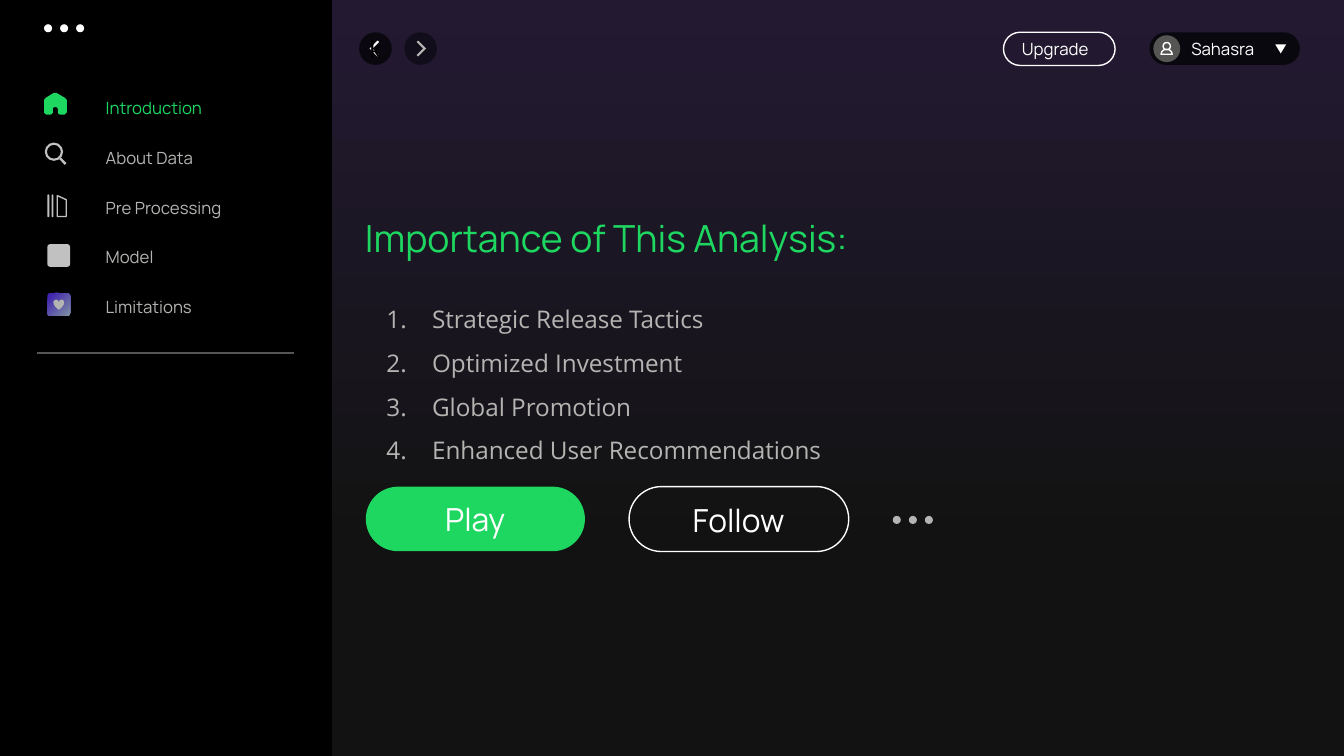
"""Build a music-player styled slide on the importance of the analysis."""
from lxml.etree import SubElement
from pptx import Presentation
from pptx.dml.color import RGBColor
from pptx.enum.shapes import MSO_CONNECTOR, MSO_SHAPE
from pptx.enum.text import MSO_ANCHOR, PP_ALIGN
from pptx.oxml.ns import qn
from pptx.util import Pt

COLORS = {
    "night": "231A32", "charcoal": "121212", "black": "000000",
    "white": "FFFFFF", "green": "1ED760", "gray": "B4B5B2",
    "silver": "C1C1C1", "dim": "555554", "back": "0A070E",
    "forward": "120D1A", "account": "0A080F",
    "violet": "4224B0", "steel": "7F93A0",
}


def rgb(name):
    return RGBColor.from_string(COLORS[name])


def write_text(frame, text, *, size=9, color="white", font="Manrope",
               align=PP_ALIGN.LEFT, anchor=MSO_ANCHOR.TOP, spacing=None,
               numbered=False):
    frame.word_wrap = True
    frame.vertical_anchor = anchor
    frame.margin_left = frame.margin_right = Pt(5.4)
    frame.margin_top = frame.margin_bottom = Pt(2.7)
    frame.text = text
    for paragraph in frame.paragraphs:
        paragraph.alignment = align
        if spacing:
            paragraph.line_spacing = spacing
        if numbered:
            properties = paragraph._p.get_or_add_pPr()
            properties.set("marL", str(Pt(36)))
            properties.set("indent", str(-Pt(24.5)))
            tint = SubElement(properties, qn("a:buClr"))
            SubElement(tint, qn("a:srgbClr"), val=COLORS[color])
            SubElement(properties, qn("a:buFont"), typeface=font)
            SubElement(properties, qn("a:buAutoNum"), type="arabicPeriod")
        for run in paragraph.runs:
            run.font.size = Pt(size)
            run.font.name = font
            run.font.color.rgb = rgb(color)


class PlayerSlide:
    """Hold the style and the slide being drawn."""

    def __init__(self, deck):
        self.slide = deck.slides.add_slide(deck.slide_layouts[5])
        self.shapes = self.slide.shapes

    def gradient(self, fill, angle, *stops):
        fill.gradient()
        fill.gradient_angle = angle
        for stop, (position, color) in zip(fill.gradient_stops, stops):
            stop.position = position
            stop.color.rgb = rgb(color)

    def paint(self, shape, fill=None, line=None, weight=0.75):
        shape.shadow.inherit = False
        if fill:
            shape.fill.solid()
            shape.fill.fore_color.rgb = rgb(fill)
        else:
            shape.fill.background()
        if line:
            shape.line.color.rgb = rgb(line)
            shape.line.width = Pt(weight)
        else:
            shape.line.fill.background()
        return shape

    def preset(self, kind, left, top, width, height, fill=None, line=None,
               adjust=None):
        shape = self.shapes.add_shape(kind, Pt(left), Pt(top), Pt(width), Pt(height))
        if adjust is not None:
            shape.adjustments[0] = adjust
        return self.paint(shape, fill, line)

    def pill(self, left, top, width, height, fill=None, line=None):
        return self.preset(MSO_SHAPE.ROUNDED_RECTANGLE, left, top, width, height,
                           fill, line, 0.5)

    def circle(self, left, top, size, fill=None, line=None):
        return self.preset(MSO_SHAPE.OVAL, left, top, size, size, fill, line)

    def outline(self, points, fill=None, line=None):
        start, *rest = [(Pt(x), Pt(y)) for x, y in points]
        builder = self.shapes.build_freeform(*start)
        builder.add_line_segments(rest)
        return self.paint(builder.convert_to_shape(), fill, line)

    def line(self, x1, y1, x2, y2, color, weight=0.75):
        connector = self.shapes.add_connector(
            MSO_CONNECTOR.STRAIGHT, Pt(x1), Pt(y1), Pt(x2), Pt(y2))
        connector.line.color.rgb = rgb(color)
        connector.line.width = Pt(weight)
        SubElement(connector._element.spPr, qn("a:effectLst"))

    def text(self, text, left, top, width, height, **style):
        box = self.shapes.add_textbox(Pt(left), Pt(top), Pt(width), Pt(height))
        write_text(box.text_frame, text, **style)

    def title(self, text, left, top, width, height, **style):
        heading = self.shapes.title
        heading.left, heading.top = Pt(left), Pt(top)
        heading.width, heading.height = Pt(width), Pt(height)
        write_text(heading.text_frame, text, **style)

    def dots(self, left, top, color):
        for index in range(3):
            self.circle(left + 8.6 * index, top, 4.3, color)

    def chevron(self, tip, toward, color):
        profile = [(-4.3, 4.3), (0, 0), (-4.3, -4.3), (-5.1, -3.5), (-1.6, 0), (-5.1, 3.5)]
        return self.outline([(tip + toward * x, 26 + y) for x, y in profile], color)


def draw_navigation(player):
    player.preset(MSO_SHAPE.RECTANGLE, 0, 0, 177.8, 405, "black")
    player.dots(23.6, 13, "white")
    pages = ["Introduction", "About Data", "Pre Processing", "Model", "Limitations"]
    for index, page in enumerate(pages):
        player.text(page, 51.2, 49.9 + 26.55 * index, 95, 16.6,
                    color="gray" if index else "green")

    player.outline([(23.6, 53.6), (24.4, 52.5), (28.9, 49.7), (30.2, 49.7),
                    (34.9, 52.5), (35.8, 53.6), (35.8, 60.2), (34.6, 61.4),
                    (32, 61.4), (31, 60.5), (31, 58.2), (30.4, 57.4),
                    (28.9, 57.4), (28.3, 58.2), (28.3, 60.5), (27.4, 61.4),
                    (24.8, 61.4), (23.6, 60.4)], "green")
    player.preset(MSO_SHAPE.DONUT, 24, 76.4, 9.8, 9.8, "silver", adjust=0.12)
    player.line(32.2, 84.8, 35.2, 87.9, "silver", 1.3)
    for left in (25.4, 27.6):
        player.pill(left, 104.2, 1, 12.2, "silver")
    player.outline([(30.7, 104.8), (35.5, 107), (35.5, 116), (30.7, 116)], line="silver")
    player.preset(MSO_SHAPE.ROUNDED_RECTANGLE, 25.4, 130.8, 12.2, 12.2, "silver", adjust=0.13)
    liked = player.preset(MSO_SHAPE.ROUNDED_RECTANGLE, 25.4, 157, 12.2, 12.2, adjust=0.13)
    player.gradient(liked.fill, 315, (0.11, "violet"), (1, "steel"))
    player.preset(MSO_SHAPE.HEART, 28.6, 160.4, 5.8, 5.6, "gray")
    player.line(20, 189.1, 157.5, 189.1, "dim")


def draw_top_bar(player):
    player.circle(192.4, 17.3, 17.5, "back")
    back = player.chevron(198, -1, "white")
    write_text(back.text_frame, "k", size=14, color="black", font="Calibri",
               anchor=MSO_ANCHOR.MIDDLE)
    player.circle(216.6, 17.3, 17.5, "forward")
    player.chevron(228.3, 1, "gray")

    player.pill(537.6, 17.3, 59.8, 17.8, line="white")
    player.text("Upgrade", 542, 17.8, 51, 16.6)
    player.pill(615.8, 17.3, 80.6, 17.5, "account")
    player.text("Sahasra", 632.8, 17.8, 50, 16.6)
    player.circle(617.9, 18.9, 14.4, "dim")
    player.circle(623.1, 22.8, 3.9, line="white")
    player.outline([(622, 29.1), (622.5, 27.6), (623.6, 26.7), (625, 26.4),
                    (626.4, 26.7), (627.5, 27.6), (628, 29.1)], line="white")
    player.preset(MSO_SHAPE.ISOSCELES_TRIANGLE, 683.2, 23.8, 5.8, 4.8, "white").rotation = 180


def draw_content(player):
    player.title("Importance of This Analysis:", 190.1, 112.3, 493, 29.5,
                 size=20, color="green")
    benefits = ["Strategic Release Tactics", "Optimized Investment",
                "Global Promotion", "Enhanced User Recommendations"]
    player.text("\n".join(benefits), 190.1, 152.6, 506, 127.4, size=13,
                color="gray", font="Open Sans", spacing=1.5, numbered=True)
    player.pill(196, 260.7, 117.4, 34.6, "green")
    player.text("Play", 225.4, 265, 58.3, 26, size=17, align=PP_ALIGN.CENTER)
    player.pill(337, 260.7, 117.7, 34.8, line="white")
    player.text("Follow", 358.6, 265.5, 74.2, 26, size=17, align=PP_ALIGN.CENTER)
    player.dots(478.3, 276.4, "gray")


def main():
    deck = Presentation()
    deck.slide_width, deck.slide_height = Pt(720), Pt(405)
    player = PlayerSlide(deck)
    player.gradient(player.slide.background.fill, 270, (0, "night"), (0.73, "charcoal"))
    draw_navigation(player)
    draw_top_bar(player)
    draw_content(player)
    deck.save("out.pptx")


if __name__ == "__main__":
    main()
